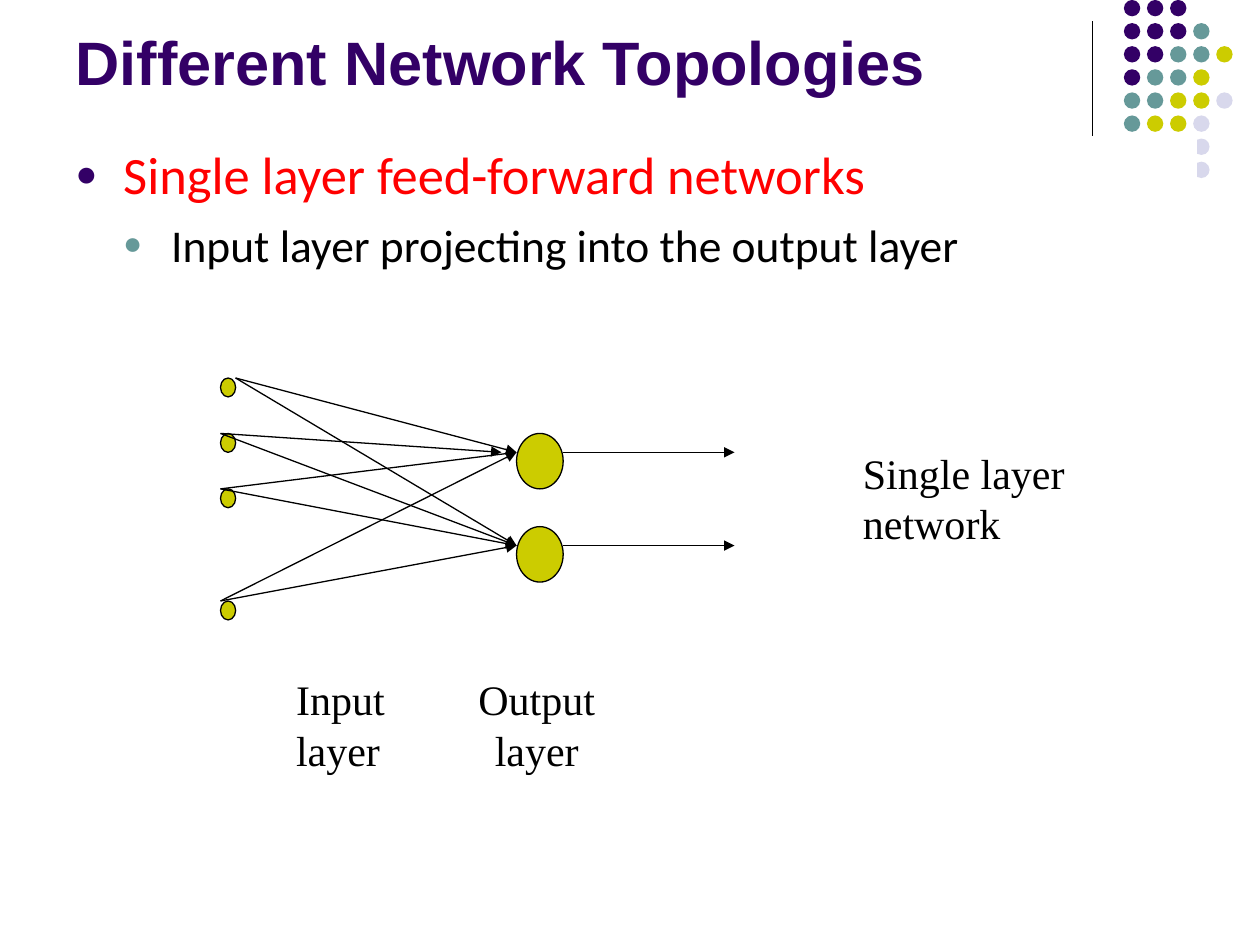
from pptx import Presentation
from pptx import util as u
from pptx.dml.color import RGBColor
from pptx.enum import shapes, text
from pptx.oxml import ns
from lxml import etree

INCH, PT = u.Inches, u.Pt
PURPLE = RGBColor(0x33, 0x00, 0x66)
TEAL = RGBColor(0x66, 0x99, 0x99)
OLIVE = RGBColor(0xCC, 0xCC, 0x00)
PALE = RGBColor(0xD8, 0xD8, 0xEC)
RED = RGBColor(0xFF, 0x00, 0x00)
BLACK = RGBColor(0x00, 0x00, 0x00)
WHITE = RGBColor(0xFF, 0xFF, 0xFF)

# Corner ornament: one letter per dot
DOTS = ["PPP", "PPPT", "PPTTO", "PTTO", "TTOOL", "TOOL", "   L", "   L"]
DOT_FILL = {"P": PURPLE, "T": TEAL, "O": OLIVE, "L": PALE}
PITCH = 1.1 / 6

IN_X, IN_W, IN_H = 1.75, 0.12, 0.15
OUT_X, OUT_W, OUT_H = 4.1, 0.37, 0.44
IN_TOPS = [3, 3.44, 3.88, 4.77]
OUT_TOPS = [3.44, 4.18]


def add_node(parts, x, y, w, h, fill, edge=None):
    dot = parts.add_shape(shapes.MSO_SHAPE.OVAL, INCH(x), INCH(y), INCH(w), INCH(h))
    dot.shadow.inherit = False
    dot.fill.solid()
    dot.fill.fore_color.rgb = fill
    if edge is None:
        dot.line.fill.background()
    else:
        dot.line.color.rgb = edge
        dot.line.width = PT(0.75)


def add_line(parts, x1, y1, x2, y2, arrow=True):
    line = parts.add_connector(shapes.MSO_CONNECTOR.STRAIGHT,
                               INCH(x1), INCH(y1), INCH(x2), INCH(y2))
    line.line.color.rgb = BLACK
    line.line.width = PT(0.75)
    if arrow:
        etree.SubElement(line.line._get_or_add_ln(), ns.qn("a:tailEnd"), type="triangle")
    etree.SubElement(line._element.spPr, ns.qn("a:effectLst"))


def add_run(para, words, font, size, color, bold=False):
    run = para.add_run()
    run.text = words
    run.font.name = font
    run.font.size = PT(size)
    run.font.color.rgb = color
    run.font.bold = bold


def add_bullet(para, level, color, before):
    para.level = level
    para.space_before = PT(before)
    props = para._p.get_or_add_pPr()
    props.set("marL", str(INCH(0.38 * (level + 1))))
    props.set("indent", str(INCH(-0.38)))
    tint = etree.SubElement(props, ns.qn("a:buClr"))
    etree.SubElement(tint, ns.qn("a:srgbClr"), val=str(color))
    etree.SubElement(props, ns.qn("a:buSzPct"), val="70000")
    etree.SubElement(props, ns.qn("a:buFont"), typeface="Arial")
    etree.SubElement(props, ns.qn("a:buChar"), char="●")


def add_label(slide, x, y, w, h, lines, wrap=True, left=0.1, tab=None):
    frame = slide.shapes.add_textbox(INCH(x), INCH(y), INCH(w), INCH(h)).text_frame
    frame.word_wrap = wrap
    frame.margin_left = INCH(left)
    for i, words in enumerate(lines):
        para = frame.add_paragraph() if i else frame.paragraphs[0]
        if tab:
            tabs = etree.SubElement(para._p.get_or_add_pPr(), ns.qn("a:tabLst"))
            etree.SubElement(tabs, ns.qn("a:tab"), pos=str(INCH(tab)), algn="ctr")
        add_run(para, words, "Times New Roman", 24, BLACK)


def add_decor(slide):
    add_line(slide.shapes, 8.67, 0.17, 8.67, 1.25, arrow=False)
    group = slide.shapes.add_group_shape().shapes
    for row, marks in enumerate(DOTS):
        for col, mark in enumerate(marks):
            if mark in DOT_FILL:
                add_node(group, 8.92 + col * PITCH, row * PITCH, 0.13, 0.13, DOT_FILL[mark])


def add_title(slide, words):
    title = slide.shapes.title
    title.left, title.top, title.width, title.height = map(INCH, (0.5, 0.33, 8.25, 0.5))
    frame = title.text_frame
    frame.auto_size = text.MSO_AUTO_SIZE.NONE
    frame.vertical_anchor = text.MSO_ANCHOR.BOTTOM
    para = frame.paragraphs[0]
    para.alignment = text.PP_ALIGN.LEFT
    add_run(para, words, "Arial", 35, PURPLE, bold=True)


def add_body(slide):
    # The white fill trims the lowest ornament dots
    body = slide.shapes.add_textbox(INCH(0.5), INCH(1.08), INCH(9), INCH(5.66))
    body.fill.solid()
    body.fill.fore_color.rgb = WHITE
    frame = body.text_frame
    frame.word_wrap = True
    head = frame.paragraphs[0]
    add_bullet(head, 0, PURPLE, 7.5)
    add_run(head, "Single layer feed-forward networks", "Calibri", 30, RED)
    sub = frame.add_paragraph()
    add_bullet(sub, 1, TEAL, 6.5)
    add_run(sub, "Input layer projecting into the output layer", "Calibri", 26, BLACK)


def add_network(slide):
    group = slide.shapes.add_group_shape().shapes
    for y in OUT_TOPS:
        add_node(group, OUT_X, y, OUT_W, OUT_H, OLIVE, BLACK)
    for y in IN_TOPS:
        add_node(group, IN_X, y, IN_W, IN_H, OLIVE, BLACK)
    # Every input feeds every output
    for i, y in enumerate(IN_TOPS):
        start = IN_X + IN_W if i == 0 else IN_X
        for j, top in enumerate(OUT_TOPS):
            end = OUT_X - IN_W if (i, j) == (1, 0) else OUT_X
            add_line(group, start, y, end, top + IN_H)
    for top in OUT_TOPS:
        add_line(group, OUT_X + OUT_W, top + IN_H, 5.83, top + IN_H)


def main():
    prs = Presentation()
    prs.slide_width, prs.slide_height = INCH(10), INCH(7.5)
    slide = prs.slides.add_slide(prs.slide_layouts[5])
    add_decor(slide)
    add_title(slide, "Different Network Topologies")
    add_body(slide)
    add_network(slide)
    # Captions
    add_label(slide, 1.92, 5.3, 3.48, 0.9, ["Input\tOutput", "layer\tlayer"],
              left=0.43, tab=1.91)
    add_label(slide, 6.75, 3.5, 1.88, 0.9, ["Single layer", "network"], wrap=False)
    prs.save("out.pptx")


if __name__ == "__main__":
    main()
